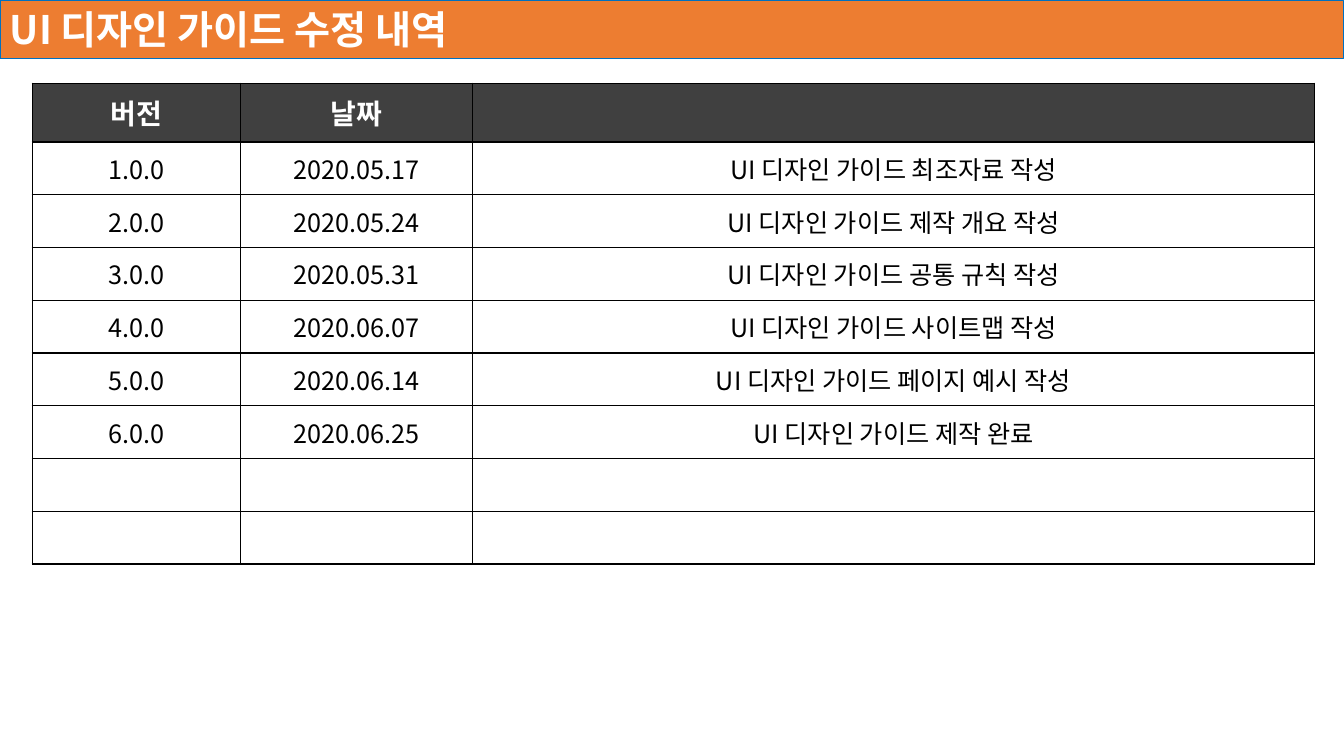
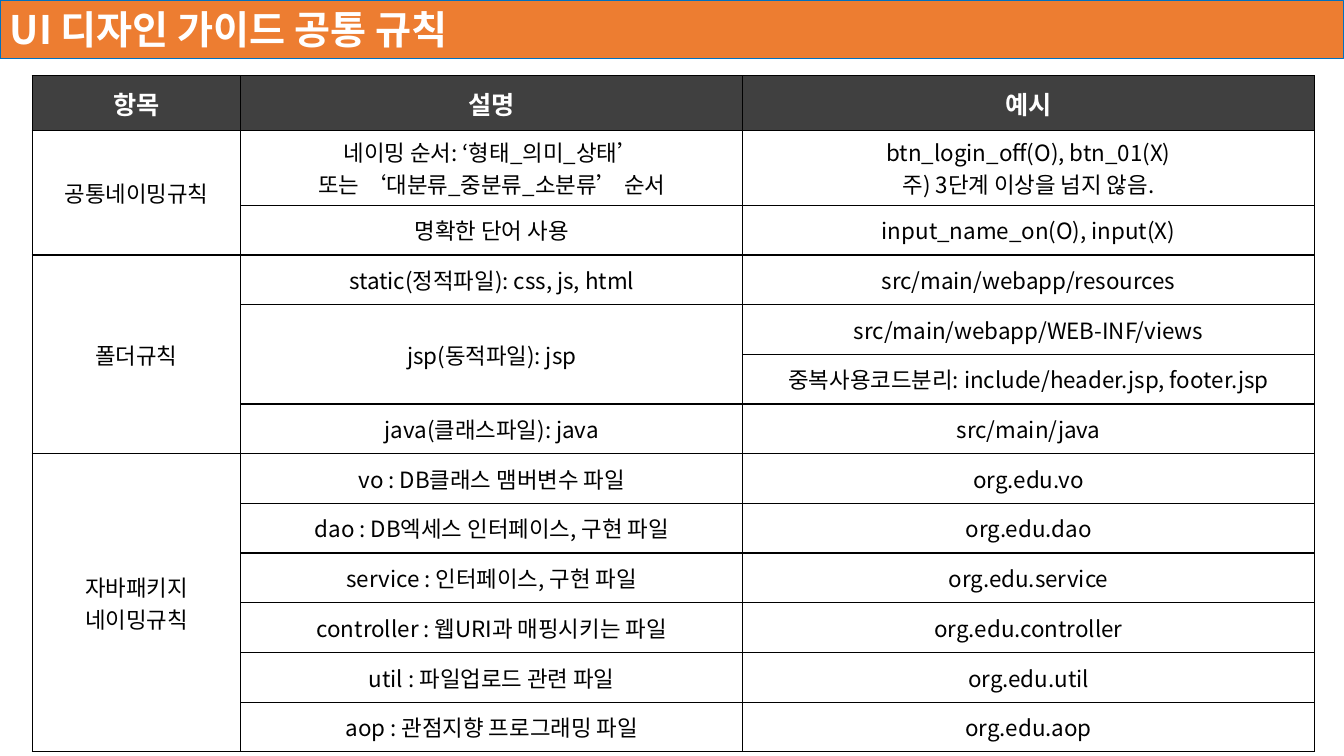
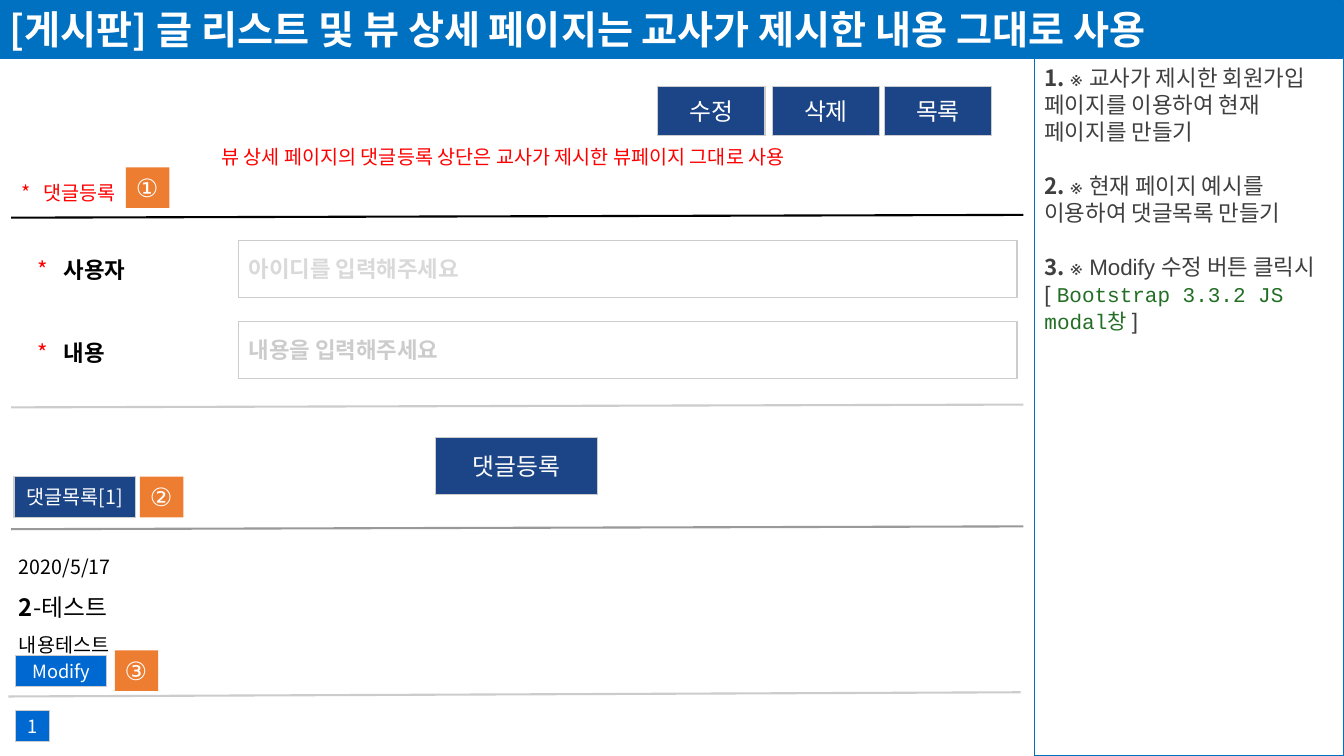
from lxml import etree
from pptx import Presentation
from pptx.dml.color import RGBColor
from pptx.enum.shapes import MSO_CONNECTOR, MSO_SHAPE
from pptx.enum.text import MSO_ANCHOR, PP_ALIGN
from pptx.oxml.ns import qn
from pptx.util import Pt

RECTANGLE = MSO_SHAPE.RECTANGLE
STRAIGHT = MSO_CONNECTOR.STRAIGHT
TOP, MIDDLE = MSO_ANCHOR.TOP, MSO_ANCHOR.MIDDLE
LEFT, CENTER = PP_ALIGN.LEFT, PP_ALIGN.CENTER

BLACK = RGBColor(0x00, 0x00, 0x00)
WHITE = RGBColor(0xFF, 0xFF, 0xFF)
RED = RGBColor(0xFF, 0x00, 0x00)
ORANGE = RGBColor(0xED, 0x7D, 0x31)
BLUE = RGBColor(0x00, 0x70, 0xC0)
BRIGHT_BLUE = RGBColor(0x00, 0x68, 0xD1)
NAVY = RGBColor(0x1C, 0x45, 0x87)
GREEN = RGBColor(0x23, 0x6E, 0x25)
CHARCOAL = RGBColor(0x40, 0x40, 0x40)
NOTE_GRAY = RGBColor(0x3F, 0x3F, 0x3F)
MID_GRAY = RGBColor(0x99, 0x99, 0x99)
RULE_GRAY = RGBColor(0xCC, 0xCC, 0xCC)
HINT_GRAY = RGBColor(0xD9, 0xD9, 0xD9)

KOREAN, SANS, MONO = "Noto Sans CJK KR", "Arial", "Courier New"
SLIDE_WIDTH, SLIDE_HEIGHT = 960, 540
BAND_BOX = (0, 0.5, SLIDE_WIDTH, 41)
BODY_TOP = 42

VERSIONS = [
    ["버전", "날짜", ""],
    ["1.0.0", "2020.05.17", "UI 디자인 가이드 최조자료 작성"],
    ["2.0.0", "2020.05.24", "UI 디자인 가이드 제작 개요 작성"],
    ["3.0.0", "2020.05.31", "UI 디자인 가이드 공통 규칙 작성"],
    ["4.0.0", "2020.06.07", "UI 디자인 가이드 사이트맵 작성"],
    ["5.0.0", "2020.06.14", "UI 디자인 가이드 페이지 예시 작성"],
    ["6.0.0", "2020.06.25", "UI 디자인 가이드 제작 완료"],
    ["", "", ""],
    ["", "", ""],
]

# None continues the cell above
RULES = [
    ["항목", "설명", "예시"],
    ["공통네이밍규칙", "네이밍 순서: ‘형태_의미_상태’\n또는 ‘대분류_중분류_소분류’ 순서",
     "btn_login_off(O), btn_01(X)\n주) 3단계 이상을 넘지 않음."],
    [None, "명확한 단어 사용", "input_name_on(O), input(X)"],
    ["폴더규칙", "static(정적파일): css, js, html", "src/main/webapp/resources"],
    [None, "jsp(동적파일): jsp", "src/main/webapp/WEB-INF/views"],
    [None, None, "중복사용코드분리: include/header.jsp, footer.jsp"],
    [None, "java(클래스파일): java", "src/main/java"],
    ["자바패키지\n네이밍규칙", "vo : DB클래스 맴버변수 파일", "org.edu.vo"],
    [None, "dao : DB엑세스 인터페이스, 구현 파일", "org.edu.dao"],
    [None, "service : 인터페이스, 구현 파일", "org.edu.service"],
    [None, "controller : 웹URI과 매핑시키는 파일", "org.edu.controller"],
    [None, "util : 파일업로드 관련 파일", "org.edu.util"],
    [None, "aop : 관점지향 프로그래밍 파일", "org.edu.aop"],
]


def style(size, color, bold=False, name=KOREAN):
    return {"size": Pt(size), "color": color, "bold": bold, "name": name}


def write(frame, paragraphs, align=LEFT, anchor=TOP, inset=(7.2, 3.6),
          spacing=None, gap=0, tab=None):
    """Fill a frame; each paragraph is a list of (text, style) spans."""
    settings = {"word_wrap": True, "vertical_anchor": anchor,
                "margin_left": Pt(inset[0]), "margin_right": Pt(inset[0]),
                "margin_top": Pt(inset[1]), "margin_bottom": Pt(inset[1])}
    for key, value in settings.items():
        setattr(frame, key, value)
    for index, spans in enumerate(paragraphs):
        para = frame.add_paragraph() if index else frame.paragraphs[0]
        para.alignment = align
        if spacing:
            para.line_spacing = spacing
        if index and gap:
            para.space_before = Pt(gap)
        if tab:
            stops = etree.SubElement(para._p.get_or_add_pPr(), qn("a:tabLst"))
            etree.SubElement(stops, qn("a:tab"), pos=str(Pt(tab)), algn="l")
        for text, look in spans:
            span = para.add_run()
            span.text = text
            for key, value in look.items():
                if key == "color":
                    span.font.color.rgb = value
                else:
                    setattr(span.font, key, value)
            etree.SubElement(span._r.get_or_add_rPr(), qn("a:ea"), typeface=KOREAN)


def add_rectangle(page, box, fill=None, line=None, width=0.75):
    shape = page.shapes.add_shape(RECTANGLE, *map(Pt, box))
    shape.shadow.inherit = False
    if fill is None:
        shape.fill.background()
    else:
        shape.fill.solid()
        shape.fill.fore_color.rgb = fill
    if line is None:
        shape.line.fill.background()
    else:
        shape.line.color.rgb = line
        shape.line.width = Pt(width)
    return shape


def add_text(page, box, paragraphs, **layout):
    write(page.shapes.add_textbox(*map(Pt, box)).text_frame, paragraphs, **layout)


def add_button(page, box, label, size=17, fill=NAVY):
    shape = add_rectangle(page, box, fill, RULE_GRAY)
    write(shape.text_frame, [[(label, style(size, WHITE))]], CENTER, MIDDLE)


def add_badge(page, left, top, number):
    shape = add_rectangle(page, (left, top, 31, 29), ORANGE)
    write(shape.text_frame, [[(number, style(18, WHITE, name=SANS))]])


def add_rule(page, left, top, rise, color):
    rule = page.shapes.add_connector(
        STRAIGHT, Pt(left), Pt(top), Pt(left + 723), Pt(top - rise))
    rule.line.color.rgb = color
    rule.line.width = Pt(1.5)
    etree.SubElement(rule._element.spPr, qn("a:effectLst"))


def add_title_band(page, box, title, fill):
    band = add_rectangle(page, box, fill, BLUE)
    write(band.text_frame, [[(title, style(28, WHITE, True))]])


def set_borders(cell):
    properties = cell._tc.get_or_add_tcPr()
    for position, side in enumerate(("lnL", "lnR", "lnT", "lnB")):
        border = etree.Element(qn("a:" + side), w=str(Pt(1)))
        fill = etree.SubElement(border, qn("a:solidFill"))
        etree.SubElement(fill, qn("a:srgbClr"), val=str(BLACK))
        properties.insert(position, border)


def add_grid(page, left, top, rows, widths, heights, head_size, body_size):
    frame = page.shapes.add_table(
        len(rows), len(widths), Pt(left), Pt(top), Pt(sum(widths)), Pt(sum(heights)))
    table = frame.table
    table.first_row = table.horz_banding = False
    for column, width in zip(table.columns, widths):
        column.width = Pt(width)
    for row, height in zip(table.rows, heights):
        row.height = Pt(height)
    for r, row in enumerate(rows):
        for c, text in enumerate(row):
            cell = table.cell(r, c)
            if r == 0:
                cell.fill.solid()
                cell.fill.fore_color.rgb = CHARCOAL
                look = style(head_size, WHITE, True)
            else:
                cell.fill.background()
                look = style(body_size, BLACK)
            set_borders(cell)
            if text:
                lines = [[(line, look)] for line in text.split("\n")]
                write(cell.text_frame, lines, CENTER, inset=(0.7, 0.4))
            cell.vertical_anchor = MIDDLE
    # Join every cell with the None cells below it
    for c in range(len(widths)):
        starts = [r for r, row in enumerate(rows) if row[c] is not None]
        for start, end in zip(starts, starts[1:] + [len(rows)]):
            if end - start > 1:
                table.cell(start, c).merge(table.cell(end - 1, c))


def add_board(page, box):
    x, y = box[:2]

    # View buttons and notice
    for left, label in ((469.5, "수정"), (551.5, "삭제"), (631.5, "목록")):
        add_button(page, (x + left, y + 20, 77, 34.5), label)
    add_text(page, (x + 151, y + 54.5, 470, 34.5),
             [[("뷰 상세 페이지의 댓글등록 상단은 교사가 제시한 뷰페이지 그대로 사용",
                style(14, RED))]], inset=(7.2, 7.2))

    # Comment form
    add_text(page, (x + 8, y + 84, 99, 29),
             [[("*\t댓글등록", style(14, RED))]], tab=16)
    add_badge(page, x + 90, y + 77.5, "①")
    add_rule(page, x + 8, y + 113.5, 2, BLACK)
    fields = (("사용자", "아이디를 입력해주세요", HINT_GRAY, 129.5, 133),
              ("내용", "내용을 입력해주세요", RULE_GRAY, 187.5, 192.5))
    for label, hint, color, field_top, label_top in fields:
        field = add_rectangle(page, (x + 170.5, y + field_top, 556, 41), line=RULE_GRAY)
        write(field.text_frame, [[(hint, style(16, color, True))]], anchor=MIDDLE)
        add_text(page, (x + 19.5, y + label_top, 87, 34.5),
                 [[("*", style(16, RED)), ("\t" + label, style(16, BLACK, True))]],
                 anchor=MIDDLE, inset=(7.2, 7.2), tab=19)
    add_rule(page, x + 8, y + 249, 2, RULE_GRAY)
    add_button(page, (x + 311, y + 270.5, 116, 41), "댓글등록")

    # Comment list
    add_button(page, (x + 10, y + 298.5, 87, 29), "댓글목록[1]", 14)
    add_badge(page, x + 100, y + 298.5, "②")
    add_rule(page, x + 8, y + 336, 2, MID_GRAY)
    small = style(14, BLACK)
    add_text(page, (x + 6.5, y + 339, 557, 82),
             [[("2020/5/17", small)],
              [("2", style(17, BLACK, True)), ("-테스트", style(17, BLACK))],
              [("내용테스트", small)]], inset=(7.2, 7.2), spacing=1.5)
    add_button(page, (x + 11, y + 426, 65, 22.5), "Modify", 13, BRIGHT_BLUE)
    add_badge(page, x + 82, y + 422.5, "③")
    add_rule(page, x + 6, y + 455.5, 3, RULE_GRAY)
    add_button(page, (x + 11, y + 465.5, 24.5, 22.5), "1", 13, BRIGHT_BLUE)


def add_notes_panel(page, box):
    panel = add_rectangle(page, box, line=BLUE, width=1)
    number = style(16, NOTE_GRAY, True)
    korean = style(16, NOTE_GRAY)
    sans = style(16, NOTE_GRAY, name=SANS)
    code = style(15, GREEN, name=MONO)
    write(panel.text_frame, [
        [("1. ", number), ("※ ", sans),
         ("교사가 제시한 회원가입 페이지를 이용하여 현재 페이지를 만들기", korean)],
        [("2. ", number), ("※ ", sans),
         ("현재 페이지 예시를 이용하여 댓글목록 만들기", korean)],
        [("3. ", number), ("※ Modify 수정 버튼 클릭시[ ", sans),
         ("Bootstrap 3.3.2 JS modal창", code), (" ]", sans)],
    ], spacing=Pt(19.3), gap=19.3)


def add_page(deck, title, fill):
    page = deck.slides.add_slide(deck.slide_layouts[6])
    add_title_band(page, BAND_BOX, title, fill)
    return page


def main():
    deck = Presentation()
    deck.slide_width, deck.slide_height = Pt(SLIDE_WIDTH), Pt(SLIDE_HEIGHT)

    # Revision history
    page = add_page(deck, "UI 디자인 가이드 수정 내역", ORANGE)
    add_grid(page, 23, 59.5, VERSIONS, (149, 165.5, 601.5),
             [42] + [37.7] * 8, 20, 18)

    # Common rules
    page = add_page(deck, "UI 디자인 가이드 공통 규칙", ORANGE)
    add_grid(page, 23, 54, RULES, (149, 358.5, 408.5),
             [39.3, 39] + [35.5] * 11, 18, 16)

    # Board page example
    page = add_page(
        deck, "[게시판] 글 리스트 및 뷰 상세 페이지는 교사가 제시한 내용 그대로 사용", BLUE)
    body_height = SLIDE_HEIGHT - BODY_TOP
    panel_left = 739
    add_notes_panel(page, (panel_left, BODY_TOP, SLIDE_WIDTH - panel_left, body_height))
    add_board(page, (0, BODY_TOP, panel_left, body_height))

    deck.save("out.pptx")


if __name__ == "__main__":
    main()
